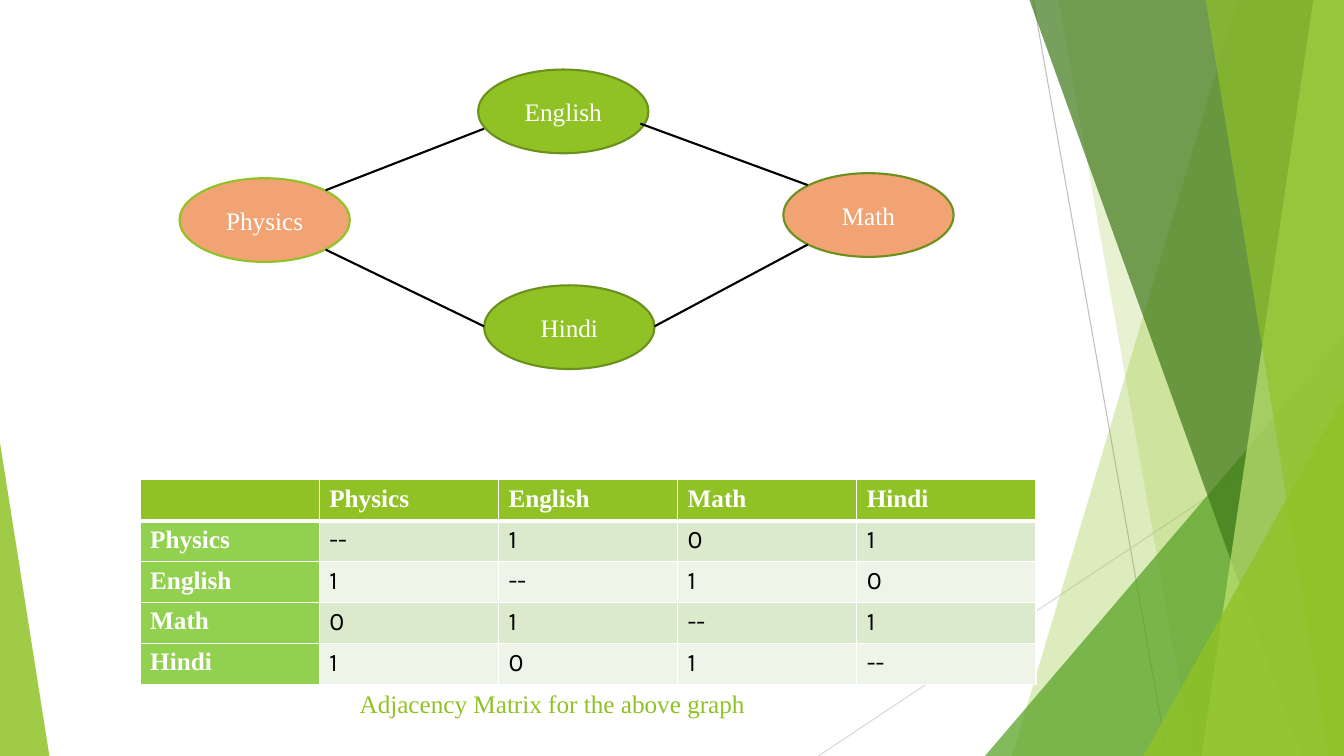
import pptx
import pptx.util
import pptx.dml.color
import pptx.enum.shapes
import pptx.enum.text
import pptx.oxml
import pptx.oxml.ns
import lxml.etree

Pt = pptx.util.Pt
RGBColor = pptx.dml.color.RGBColor
SHAPE = pptx.enum.shapes.MSO_SHAPE
qn = pptx.oxml.ns.qn

LIME = RGBColor(0x90, 0xC2, 0x26)
PALE_LIME = RGBColor(0xC0, 0xE4, 0x74)
GREEN = RGBColor(0x54, 0xA0, 0x21)
FOREST = RGBColor(0x3F, 0x78, 0x19)
OLIVE = RGBColor(0x6B, 0x90, 0x1C)
PEACH = RGBColor(0xF1, 0xA3, 0x74)
ROW_HEAD = RGBColor(0x92, 0xD0, 0x50)
ROW_DARK = RGBColor(0xDB, 0xE9, 0xCD)
ROW_LIGHT = RGBColor(0xEE, 0xF4, 0xE8)
SILVER = RGBColor(0xBF, 0xBF, 0xBF)
MIST = RGBColor(0xD9, 0xD9, 0xD9)
WHITE = RGBColor(0xFF, 0xFF, 0xFF)
BLACK = RGBColor(0, 0, 0)
SERIF = "Times New Roman"
SANS = "Karla"
SUBJECTS = ["Physics", "English", "Math", "Hindi"]


def set_font(para, name, color, bold=False):
    para.font.name = name
    para.font.size = Pt(18)
    para.font.color.rgb = color
    para.font.bold = bold


def add_line(page, start, end, color, width):
    line = page.shapes.add_connector(
        pptx.enum.shapes.MSO_CONNECTOR.STRAIGHT,
        *[Pt(value) for value in (*start, *end)])
    line.line.color.rgb = color
    line.line.width = Pt(width)
    lxml.etree.SubElement(line._element.spPr, qn("a:effectLst"))


def paint_facet(shape, color, opacity):
    shape.shadow.inherit = False
    shape.line.fill.background()
    shape.fill.solid()
    shape.fill.fore_color.rgb = color
    tint = shape._element.spPr.find(qn("a:solidFill"))[0]
    lxml.etree.SubElement(tint, qn("a:alpha"), val=str(opacity * 1000))


def add_band(page, box, top_x, bottom_x, color, opacity):
    left, top, width, height = box
    right, bottom = left + width, top + height
    corners = [(left + top_x, top - 0.7), (right, top - 0.7),
               (right, bottom), (left + bottom_x, bottom)]
    points = [(Pt(x), Pt(y)) for x, y in corners]
    outline = page.shapes.build_freeform(*points[0])
    outline.add_line_segments(points[1:], close=True)
    paint_facet(outline.convert_to_shape(), color, opacity)


def add_corner(page, box, x, width, height, apex, color, opacity):
    left, top, _, box_height = box
    corner = page.shapes.add_shape(
        SHAPE.ISOSCELES_TRIANGLE, Pt(left + x), Pt(top + box_height - height),
        Pt(width), Pt(height))
    corner.adjustments[0] = apex
    paint_facet(corner, color, opacity)


def draw_backdrop(page, box):
    left, top, width, height = box
    right, bottom = left + width, top + height
    add_line(page, (left + 738, top), (left + 833.8, bottom), SILVER, 0.75)
    add_line(page, (right, top + 290.2), (left + 584.6, bottom), MIST, 0.75)
    add_band(page, box, 884.2, 722.9, LIME, 30)
    add_band(page, box, 756, 851.8, LIME, 20)
    add_corner(page, box, 703.6, 256.4, 300.2, 1, GREEN, 72)
    add_band(page, box, 735.1, 929.5, FOREST, 70)
    add_band(page, box, 938.2, 858.2, PALE_LIME, 70)
    add_band(page, box, 861.1, 949, LIME, 65)
    add_corner(page, box, 816.7, 143.3, 257, 1, LIME, 80)
    add_corner(page, box, 0, 35.3, 223.9, 0, LIME, 85)


def draw_graph(page, box):
    left, top, width, height = box
    node_width, node_height = 121.7, 59.8
    nodes = [
        ("English", 213.3, 0, LIME, OLIVE),
        ("Hindi", 217.6, height - node_height, LIME, OLIVE),
        ("Physics", 0, 77.6, PEACH, LIME),
        ("Math", width - node_width, 74, PEACH, OLIVE),
    ]
    for name, x, y, fill, border in nodes:
        node = page.shapes.add_shape(
            SHAPE.OVAL, Pt(left + x), Pt(top + y), Pt(node_width), Pt(node_height))
        node.shadow.inherit = False
        node.fill.solid()
        node.fill.fore_color.rgb = fill
        node.line.color.rgb = border
        node.line.width = Pt(1.5)
        node.text_frame.vertical_anchor = pptx.enum.text.MSO_ANCHOR.MIDDLE
        para = node.text_frame.paragraphs[0]
        para.text = name
        para.alignment = pptx.enum.text.PP_ALIGN.CENTER
        set_font(para, SERIF, WHITE)
    edges = [
        ((104.4, 86.2), (217.6, 42.2)),
        ((329.2, 38.6), (448.7, 82.5)),
        ((104.4, 128.6), (217.6, 183.4)),
        ((339.3, 183.4), (448.7, 125)),
    ]
    for start, end in edges:
        add_line(page, *[(left + x, top + y) for x, y in (start, end)], BLACK, 1.5)


def style_cell(cell, fill, widths):
    cell.fill.solid()
    cell.fill.fore_color.rgb = fill
    properties = cell._tc.get_or_add_tcPr()
    for index, (side, width) in enumerate(zip("LRTB", widths)):
        border = pptx.oxml.parse_xml(
            f'<a:ln{side} {pptx.oxml.ns.nsdecls("a")} w="{Pt(width)}">'
            f'<a:solidFill><a:srgbClr val="{WHITE}"/></a:solidFill></a:ln{side}>')
        properties.insert(index, border)


def draw_matrix(page, box):
    values = [["--", "1", "0", "1"], ["1", "--", "1", "0"],
              ["0", "1", "--", "1"], ["1", "0", "1", "--"]]
    rows = [["", *SUBJECTS]]
    rows += [[name, *line] for name, line in zip(SUBJECTS, values)]
    frame = page.shapes.add_table(5, 5, *[Pt(value) for value in box])
    for row, texts in enumerate(rows):
        for column, text in enumerate(texts):
            cell = frame.table.cell(row, column)
            heading = row == 0 or column == 0
            if row == 0:
                fill = LIME
            elif column == 0:
                fill = ROW_HEAD
            else:
                fill = ROW_DARK if row % 2 else ROW_LIGHT
            style_cell(cell, fill, (1, 1, 3 if row == 1 else 1, 3 if row == 0 else 1))
            para = cell.text_frame.paragraphs[0]
            para.text = text
            set_font(para, SERIF if heading else SANS,
                     WHITE if heading else BLACK, heading)


def draw_caption(page, box):
    caption = page.shapes.add_textbox(*[Pt(value) for value in box])
    caption.text_frame.word_wrap = True
    caption.text_frame.auto_size = pptx.enum.text.MSO_AUTO_SIZE.SHAPE_TO_FIT_TEXT
    para = caption.text_frame.paragraphs[0]
    para.text = "Adjacency Matrix for the above graph"
    set_font(para, SERIF, LIME)


deck = pptx.Presentation()
deck.slide_width, deck.slide_height = Pt(960), Pt(540)
page = deck.slides.add_slide(deck.slide_layouts[6])
draw_backdrop(page, (0, 0, 960, 540))
draw_graph(page, (128.2, 49.7, 553, 213.9))
draw_matrix(page, (100.1, 342.7, 640, 146))
draw_caption(page, (249.8, 488.2, 403.2, 29))
deck.save("out.pptx")
